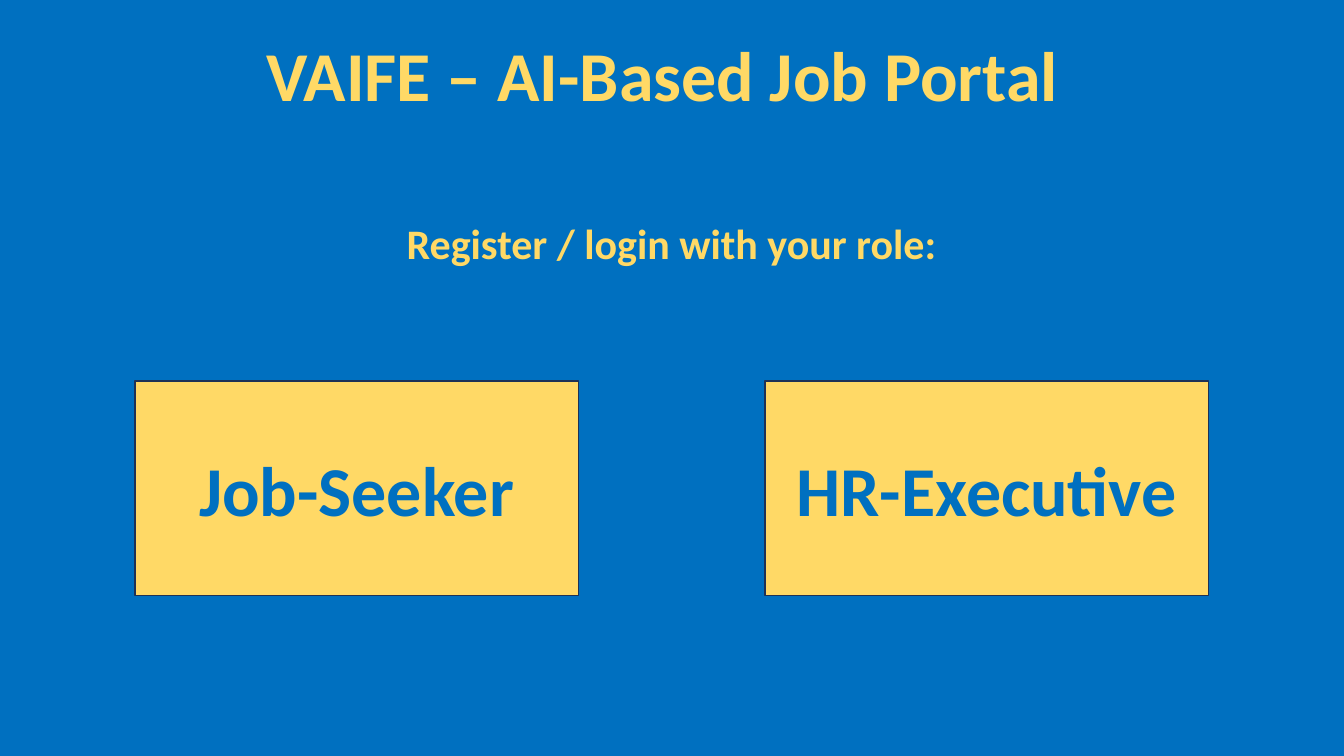
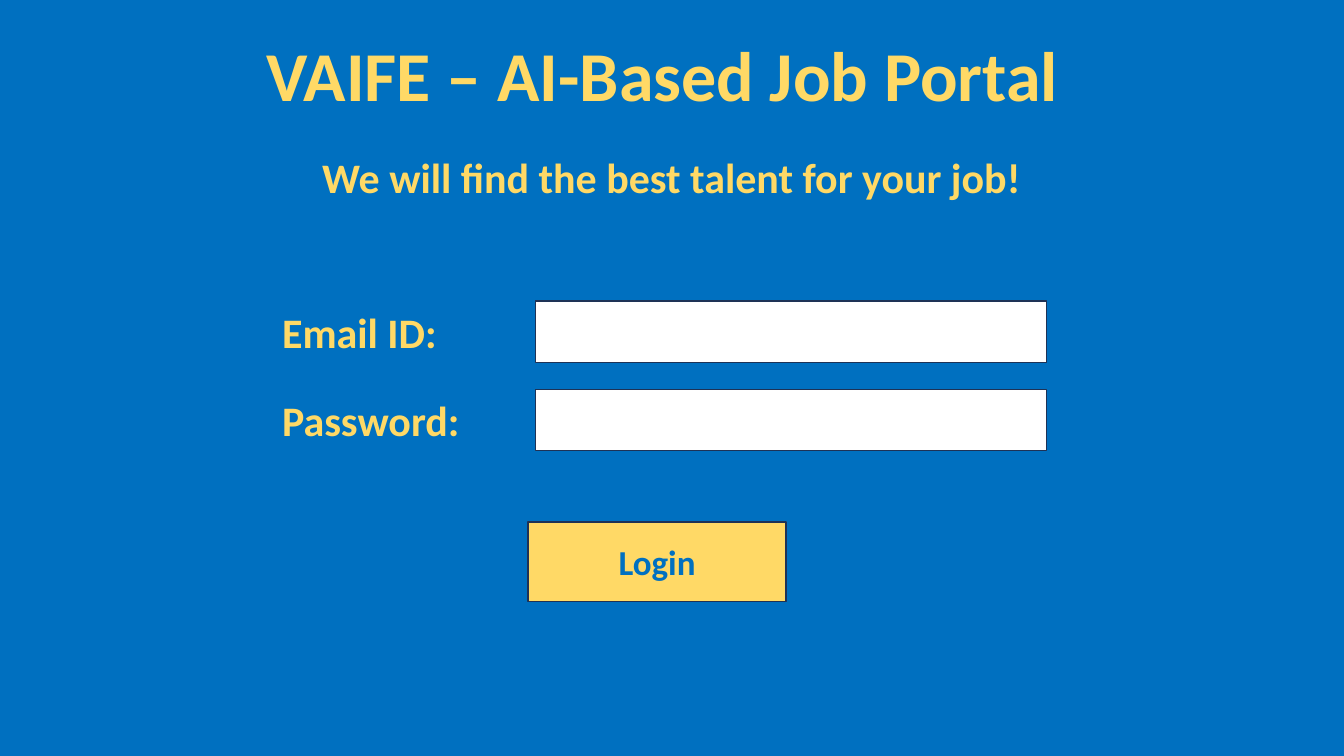
import pptx
import pptx.util
import pptx.dml.color
import pptx.enum.shapes
import pptx.enum.text

Cm, Pt = pptx.util.Cm, pptx.util.Pt
Align = pptx.enum.text.PP_ALIGN
RECT = pptx.enum.shapes.MSO_SHAPE.RECTANGLE
BLUE, GOLD, WHITE, NAVY = "0070C0", "FFD966", "FFFFFF", "1E3256"
rgb = pptx.dml.color.RGBColor.from_string


def write(shape, text, size, color, align=Align.CENTER):
    frame = shape.text_frame
    look = {"word_wrap": True,
            "auto_size": pptx.enum.text.MSO_AUTO_SIZE.NONE,
            "vertical_anchor": pptx.enum.text.MSO_ANCHOR.MIDDLE}
    for key, value in look.items():
        setattr(frame, key, value)
    par = frame.paragraphs[0]
    par.text, par.alignment = text, align
    style = {"name": "Calibri", "size": Pt(size), "bold": True}
    for key, value in style.items():
        setattr(par.font, key, value)
    par.font.color.rgb = rgb(color)


def box(slide, left, top, width, height, fill):
    shape = slide.shapes.add_shape(
        RECT, Cm(left), Cm(top), Cm(width), Cm(height))
    shape.shadow.inherit = False
    shape.fill.solid()
    shape.fill.fore_color.rgb = rgb(fill)
    shape.line.color.rgb = rgb(NAVY)
    shape.line.width = Pt(1)
    return shape


# Deck and shared background
deck = pptx.Presentation()
deck.slide_width, deck.slide_height = Cm(33.87), Cm(19.05)
back = deck.slide_master.background.fill
back.solid()
back.fore_color.rgb = rgb(BLUE)

# Title and centred tagline on each slide
pages = []
for tag, top in [("Register / login with your role:", 5.33),
                 ("We will find the best talent for your job!", 3.68)]:
    page = deck.slides.add_slide(deck.slide_layouts[5])
    title = page.shapes.title
    place = {"left": 6.45, "top": 0.66, "width": 20.93, "height": 2.39}
    for key, value in place.items():
        setattr(title, key, Cm(value))
    write(title, "VAIFE – AI-Based Job Portal", 50, GOLD, Align.LEFT)
    line = page.shapes.add_textbox(Cm(7.62), Cm(top), Cm(18.62), Cm(1.55))
    write(line, tag, 30, GOLD)
    pages.append(page)
start, login = pages

# Role buttons
for num, role in enumerate(["Job-Seeker", "HR-Executive"]):
    card = box(start, 3.4 + num * 15.88, 9.6, 11.18, 5.41, GOLD)
    write(card, role, 50, BLUE)

# Login form
for num, name in enumerate(["Email ID:", "Password:"]):
    top = 7.59 + num * 2.22
    label = login.shapes.add_textbox(Cm(6.86), Cm(top), Cm(5.69), Cm(1.55))
    write(label, name, 30, GOLD, Align.LEFT)
    box(login, 13.49, top, 12.88, 1.55, WHITE)
button = box(login, 13.31, 13.15, 6.5, 2.01, GOLD)
write(button, "Login", 25, BLUE)

deck.save("out.pptx")
